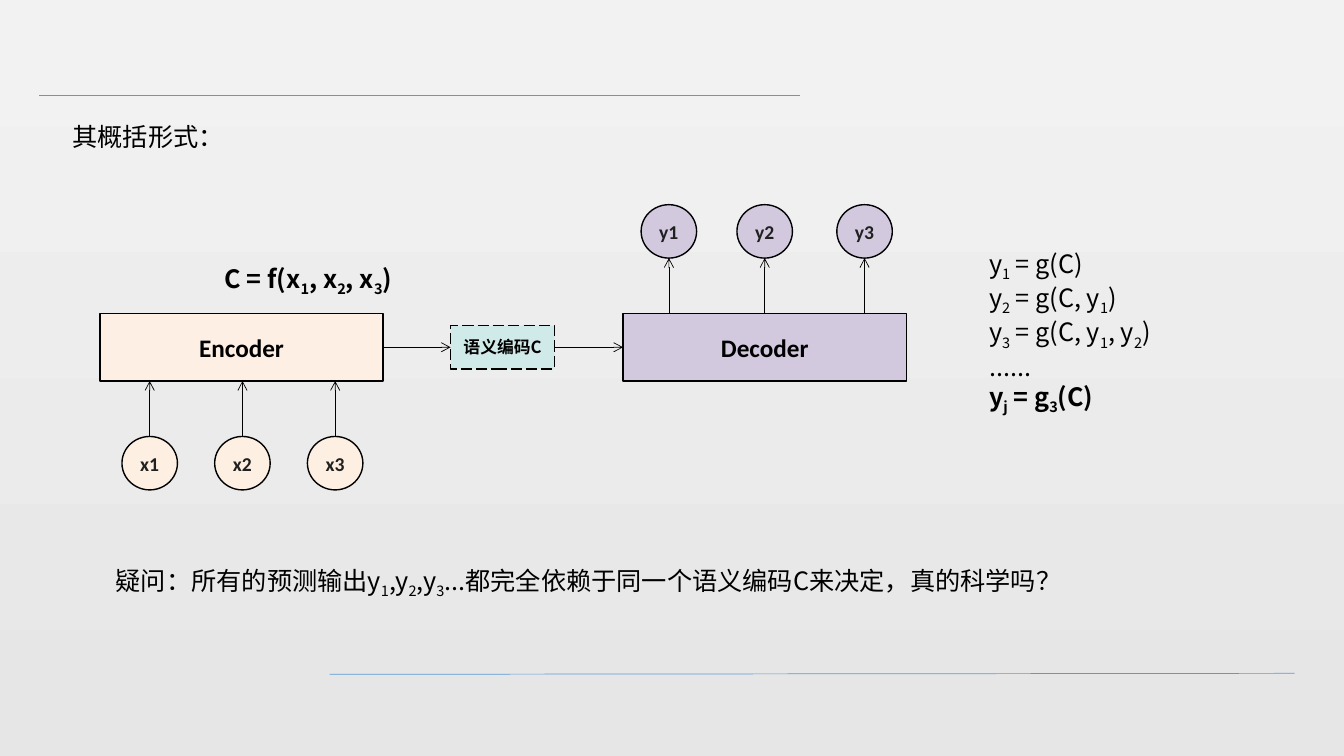
from lxml.etree import SubElement
from pptx import Presentation
from pptx.dml.color import RGBColor
from pptx.enum.dml import MSO_LINE
from pptx.enum.shapes import MSO_CONNECTOR, MSO_SHAPE
from pptx.enum.text import MSO_ANCHOR, MSO_AUTO_SIZE, PP_ALIGN
from pptx.oxml.ns import qn
from pptx.util import Inches, Pt

BLACK = RGBColor(0x00, 0x00, 0x00)
INK = RGBColor(0x20, 0x20, 0x20)
CREAM = RGBColor(0xFD, 0xEF, 0xE4)
PEACH = RGBColor(0xFD, 0xEF, 0xE1)
LILAC = RGBColor(0xD2, 0xC9, 0xDE)
MINT = RGBColor(0xD0, 0xEA, 0xE9)
BLUE = RGBColor(0x5B, 0x9B, 0xD5)
LIGHT = RGBColor(0xF2, 0xF2, 0xF2)
GREY = RGBColor(0xE7, 0xE6, 0xE6)

HAN = "Noto Sans CJK SC"
LATIN = "Calibri"
WIDE, HIGH = 13.33, 7.5

# All places and sizes are percentages of the slide's width and height.
BOX_W, BOX_H, BOX_TOP = 21.08, 8.93, 41.47
NODE_W, NODE_H = 4.13, 7.07
ENC_X, CODE_X, DEC_X = 7.43, 33.53, 46.36
CODE_W, CODE_H = 7.73, 5.73
MID = BOX_TOP + BOX_H / 2
STEM = 7.33
INPUTS = [11.14 + 6.9 * i for i in range(3)]
OUTPUTS = [49.77, 56.9, 64.33]

FORMULAS = ["y_1 = g(C)", "y_2 = g(C, y_1)", "y_3 = g(C, y_1, y_2)",
            "......", "y_j = g_3(C)"]
QUESTION = "疑问：所有的预测输出y_1,y_2,y_3...都完全依赖于同一个语义编码C来决定，真的科学吗？"


def across(share):
    """Turn a percentage of the slide's width into a length."""
    return Inches(WIDE * share / 100)


def down(share):
    """Turn a percentage of the slide's height into a length."""
    return Inches(HIGH * share / 100)


def place(shape, x, y, w, h):
    """Move and size a shape by shares of the slide."""
    shape.left, shape.top = across(x), down(y)
    shape.width, shape.height = across(w), down(h)


def style(run, size, face, color=BLACK, bold=False):
    """Format one run, for Latin and Chinese letters alike."""
    font = run.font
    font.size, font.name, font.bold = Pt(size), face, bold
    font.color.rgb = color
    SubElement(font._element, qn("a:ea")).set("typeface", face)


def write(para, text, bold=False):
    """Fill a paragraph; the letter after each underscore is a subscript."""
    first, *rest = text.split("_")
    para.text = first
    for part in rest:
        sub = para.add_run()
        sub.text = part[0]
        sub.font._element.set("baseline", "-25000")
        if part[1:]:
            para.add_run().text = part[1:]
    for run in para.runs:
        style(run, 18, HAN, bold=bold)


def lines(shape, texts, spot, bold=()):
    """Place a text shape and write plain left-aligned lines in it."""
    place(shape, *spot)
    frame = shape.text_frame
    frame.word_wrap = True
    frame.auto_size = MSO_AUTO_SIZE.NONE
    frame.vertical_anchor = MSO_ANCHOR.TOP
    for i, text in enumerate(texts):
        para = frame.add_paragraph() if i else frame.paragraphs[0]
        write(para, text, i in bold)
        para.alignment = PP_ALIGN.LEFT
        para.space_before = Pt(0)
        props = para._p.get_or_add_pPr()
        props.set("marL", "0")
        props.set("indent", "0")
        SubElement(props, qn("a:buNone"))


def label(slide, text, spot, bold=()):
    """Add a free text box of one line."""
    lines(slide.shapes.add_textbox(0, 0, 0, 0), [text], spot, bold)


def block(slide, kind, text, spot, fill, size, face=LATIN, color=BLACK):
    """Add an outlined shape with a bold centred label."""
    x, y, w, h = spot
    shape = slide.shapes.add_shape(kind, across(x), down(y), across(w), down(h))
    shape.shadow.inherit = False
    shape.fill.solid()
    shape.fill.fore_color.rgb = fill
    shape.line.color.rgb = BLACK
    shape.line.width = Pt(1)
    frame = shape.text_frame
    frame.text = text
    frame.word_wrap = False
    frame.vertical_anchor = MSO_ANCHOR.MIDDLE
    para = frame.paragraphs[0]
    para.alignment = PP_ALIGN.CENTER
    style(para.runs[0], size, face, color, True)
    return shape


def link(slide, x1, y1, x2, y2, color=BLACK, arrow=True):
    """Draw a thin line, with an open arrowhead at its end if wanted."""
    line = slide.shapes.add_connector(
        MSO_CONNECTOR.STRAIGHT, across(x1), down(y1), across(x2), down(y2))
    line.line.color.rgb = color
    line.line.width = Pt(0.5)
    props = line._element.spPr
    if arrow:
        SubElement(props.find(qn("a:ln")), qn("a:tailEnd")).set("type", "arrow")
    SubElement(props, qn("a:effectLst"))


def nodes(slide, sign, mids, top, fill, start):
    """Draw a row of numbered circles with an upward arrow for each."""
    for i, mid in enumerate(mids, 1):
        spot = (mid - NODE_W / 2, top, NODE_W, NODE_H)
        block(slide, MSO_SHAPE.OVAL, f"{sign}{i}", spot, fill, 14, color=INK)
        link(slide, mid, start, mid, start - STEM)


def paint(slide):
    """Set the background gradient and the two ruled lines."""
    fill = slide.background.fill
    fill.gradient()
    fill.gradient_angle = 270
    for stop, color in zip(fill.gradient_stops, (LIGHT, GREY)):
        stop.color.rgb = color
    link(slide, 2.93, 12.67, 59.56, 12.67, BLUE, False)
    link(slide, 96.32, 89.07, 24.53, 89.2, BLUE, False)


def model(slide):
    """Draw the encoder, the code and the decoder with their nodes."""
    rect = MSO_SHAPE.RECTANGLE
    block(slide, rect, "Encoder", (ENC_X, BOX_TOP, BOX_W, BOX_H), CREAM, 18)
    spot = (CODE_X, MID - CODE_H / 2, CODE_W, CODE_H)
    code = block(slide, rect, "语义编码C", spot, MINT, 12, HAN)
    code.line.dash_style = MSO_LINE.LONG_DASH
    block(slide, rect, "Decoder", (DEC_X, BOX_TOP, BOX_W, BOX_H), LILAC, 18)
    low = BOX_TOP + BOX_H + STEM
    nodes(slide, "x", INPUTS, low, PEACH, low)
    nodes(slide, "y", OUTPUTS, BOX_TOP - STEM - NODE_H, LILAC, BOX_TOP)
    link(slide, ENC_X + BOX_W, MID, CODE_X, MID)
    link(slide, CODE_X + CODE_W, MID, DEC_X, MID)


def main():
    """Build the slide and save it."""
    deck = Presentation()
    deck.slide_width, deck.slide_height = Inches(WIDE), Inches(HIGH)
    slide = deck.slides.add_slide(deck.slide_layouts[1])
    paint(slide)
    title, body = slide.placeholders
    lines(title, ["其概括形式："], (4.65, 15.33, 24.38, 5.33))
    model(slide)
    lines(body, FORMULAS, (72.84, 32.13, 20.71, 21.47), bold=(4,))
    label(slide, QUESTION, (7.88, 74.13, 71.94, 5.33))
    label(slide, "C = f(x_1, x_2, x_3)", (15.98, 34.13, 20.86, 5.33), bold=(0,))
    deck.save("out.pptx")


main()
